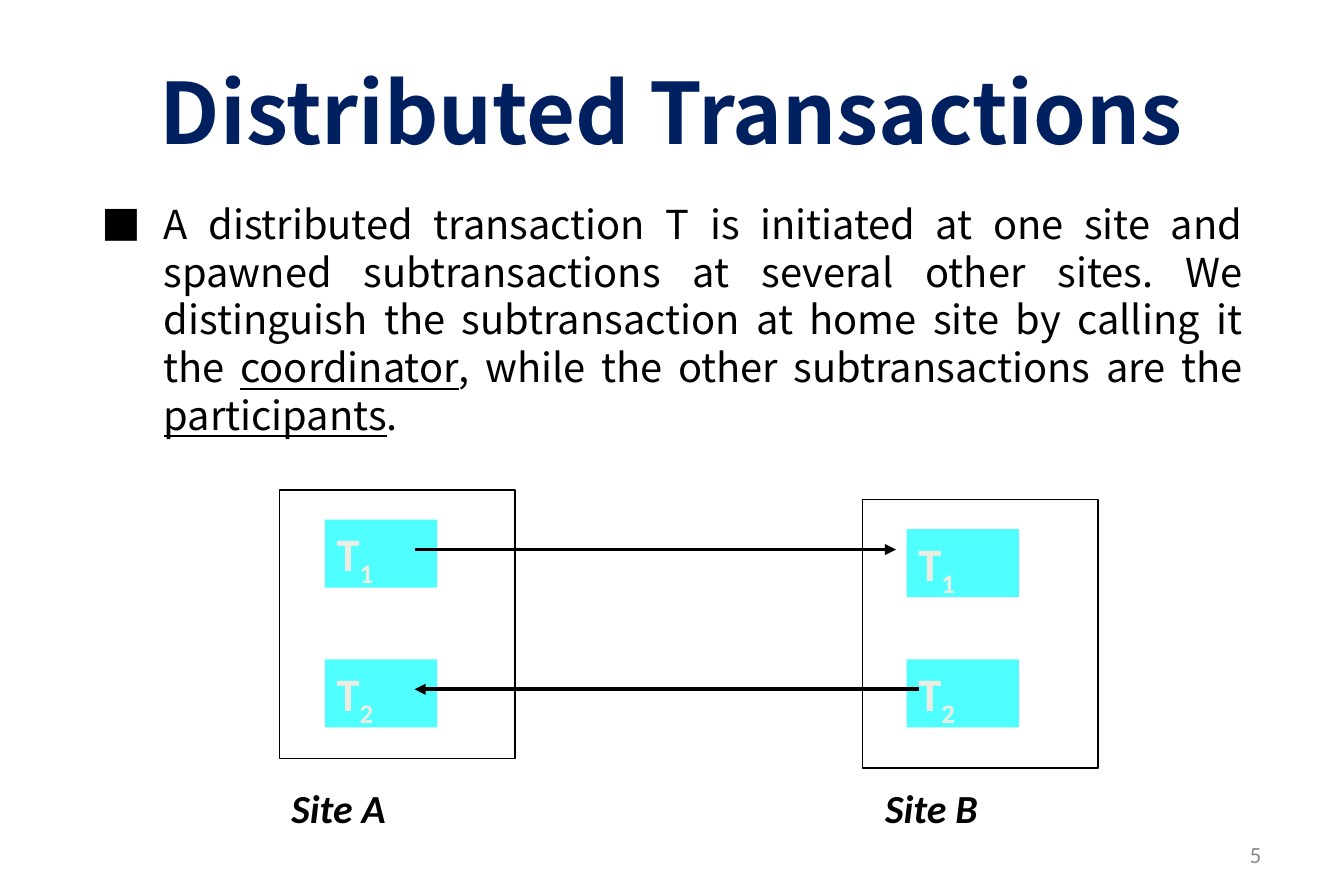
from dataclasses import dataclass
from typing import NamedTuple

from lxml import etree
from pptx import Presentation
from pptx.dml.color import RGBColor
from pptx.enum.shapes import MSO_CONNECTOR, MSO_SHAPE
from pptx.enum.text import MSO_ANCHOR, MSO_AUTO_SIZE, PP_ALIGN
from pptx.oxml.ns import qn
from pptx.util import Inches, Pt

RECT = MSO_SHAPE.RECTANGLE
STRAIGHT = MSO_CONNECTOR.STRAIGHT
TOP, MIDDLE = MSO_ANCHOR.TOP, MSO_ANCHOR.MIDDLE
LEFT, CENTER, RIGHT, JUSTIFY = PP_ALIGN.LEFT, PP_ALIGN.CENTER, PP_ALIGN.RIGHT, PP_ALIGN.JUSTIFY
NO_FIT = MSO_AUTO_SIZE.NONE


@dataclass(frozen=True)
class Theme:
    heading_font: str = "Noto Sans CJK SC"
    label_font: str = "Calibri"
    ink: str = "000000"
    paper: str = "FFFFFF"
    navy: str = "002060"
    cyan: str = "4FFFFF"
    cream: str = "EEECE1"
    grey: str = "8C8C8C"
    title_size: float = 51
    body_size: float = 24
    body_leading: float = 28.8
    node_size: float = 28
    site_size: float = 24
    number_size: float = 14


class Box(NamedTuple):
    left: float
    top: float
    width: float
    height: float


class Site(NamedTuple):
    name: str
    frame: Box
    label: Box
    node_left: float
    node_tops: tuple


class Message(NamedTuple):
    start: float
    end: float
    y: float


THEME = Theme()
NODE_WIDTH, NODE_HEIGHT = 0.94, 0.57
SITES = (
    Site("Site A", Box(2.34, 4.1, 1.97, 2.25), Box(2.34, 6.51, 2.06, 0.5), 2.72, (4.35, 5.52)),
    Site("Site B", Box(7.22, 4.18, 1.97, 2.25), Box(7.31, 6.51, 1.78, 0.5), 7.59, (4.43, 5.52)),
)
MESSAGES = (Message(3.47, 7.5, 4.6), Message(7.69, 3.47, 5.77))
DEFINITION = (
    ("A distributed transaction T is initiated at one site and spawned subtransactions "
     "at several other sites. We distinguish the subtransaction at home site by calling it the ", False),
    ("coordinator", True),
    (", while the other subtransactions are the ", False),
    ("participants", True),
    (".", False),
)


def add_run(p, text: str, *, size: float, color: str, font: str = THEME.label_font,
            bold: bool = False, italic: bool = False, underline: bool = False,
            baseline: int = 0) -> None:
    r = p.add_run()
    r.text = text
    f = r.font
    f.name, f.size, f.color.rgb = font, Pt(size), RGBColor.from_string(color)
    f.bold, f.italic, f.underline = bold, italic, underline
    rpr = r._r.get_or_add_rPr()
    if baseline:
        rpr.set("baseline", str(baseline * 1000))
    etree.SubElement(rpr, qn("a:ea")).set("typeface", font)


def prepare_text(sp, *, align=LEFT, anchor=TOP, inset: tuple = (0.1, 0.05)):
    """Set the text frame up and return its first paragraph."""
    tf = sp.text_frame
    tf.word_wrap, tf.auto_size, tf.vertical_anchor = True, NO_FIT, anchor
    tf.margin_left = tf.margin_right = Inches(inset[0])
    tf.margin_top = tf.margin_bottom = Inches(inset[1])
    p = tf.paragraphs[0]
    p.alignment, p.space_before = align, Pt(0)
    return p


def place(sp, box: Box) -> None:
    sp.left, sp.top, sp.width, sp.height = map(Inches, box)


def add_textbox(slide, box: Box):
    return slide.shapes.add_textbox(*map(Inches, box))


def add_rect(slide, box: Box, fill: str, line: str = ""):
    sp = slide.shapes.add_shape(RECT, *map(Inches, box))
    sp.shadow.inherit = False
    sp.fill.solid()
    sp.fill.fore_color.rgb = RGBColor.from_string(fill)
    if line:
        sp.line.color.rgb = RGBColor.from_string(line)
        sp.line.width = Pt(1)
    else:
        sp.line.fill.background()
    return sp


def set_square_bullet(p, indent: float) -> None:
    ppr = p._p.get_or_add_pPr()
    ppr.set("marL", str(Inches(indent)))
    ppr.set("indent", str(-Inches(indent)))
    color = etree.SubElement(ppr, qn("a:buClr"))
    etree.SubElement(color, qn("a:srgbClr")).set("val", THEME.ink)
    etree.SubElement(ppr, qn("a:buFont")).set("typeface", THEME.heading_font)
    etree.SubElement(ppr, qn("a:buChar")).set("char", "■")


def add_title(slide) -> None:
    sp = slide.shapes.title
    place(sp, Box(0.56, 0.3, 10.12, 1.25))
    p = prepare_text(sp, align=CENTER, anchor=MIDDLE, inset=(0.12, 0.06))
    add_run(p, "Distributed Transactions", size=THEME.title_size, color=THEME.navy,
            font=THEME.heading_font, bold=True)


def add_definition(slide) -> None:
    sp = slide.placeholders[1]
    place(sp, Box(0.75, 1.62, 9.75, 2.12))
    p = prepare_text(sp, align=JUSTIFY)
    p.line_spacing = Pt(THEME.body_leading)
    set_square_bullet(p, 0.52)
    for text, underline in DEFINITION:
        add_run(p, text, size=THEME.body_size, color=THEME.ink,
                font=THEME.heading_font, underline=underline)


def add_site(slide, site: Site) -> None:
    add_rect(slide, site.frame, THEME.paper, THEME.ink)
    for number, top in enumerate(site.node_tops, 1):
        node = add_rect(slide, Box(site.node_left, top, NODE_WIDTH, NODE_HEIGHT), THEME.cyan)
        p = prepare_text(node)
        for text, baseline in (("T", 0), (str(number), -25)):
            add_run(p, text, size=THEME.node_size, color=THEME.cream, bold=True, baseline=baseline)
    p = prepare_text(add_textbox(slide, site.label))
    add_run(p, site.name, size=THEME.site_size, color=THEME.ink, bold=True, italic=True)


def add_message(slide, message: Message) -> None:
    y = Inches(message.y)
    arrow = slide.shapes.add_connector(STRAIGHT, Inches(message.start), y, Inches(message.end), y)
    arrow.line.color.rgb = RGBColor.from_string(THEME.ink)
    arrow.line.width = Pt(2.25)
    etree.SubElement(arrow.line._get_or_add_ln(), qn("a:tailEnd")).set("type", "triangle")
    etree.SubElement(arrow._element.spPr, qn("a:effectLst"))


def add_slide_number(slide) -> None:
    sp = add_textbox(slide, Box(8.06, 6.95, 2.62, 0.4))
    p = prepare_text(sp, align=RIGHT, anchor=MIDDLE, inset=(0.12, 0.06))
    add_run(p, "5", size=THEME.number_size, color=THEME.grey)


def main() -> None:
    prs = Presentation()
    prs.slide_width, prs.slide_height = Inches(11.25), Inches(7.5)
    slide = prs.slides.add_slide(prs.slide_layouts[1])
    add_title(slide)
    add_definition(slide)
    for site in SITES:
        add_site(slide, site)
    for message in MESSAGES:
        add_message(slide, message)
    add_slide_number(slide)
    prs.save("out.pptx")


if __name__ == "__main__":
    main()
